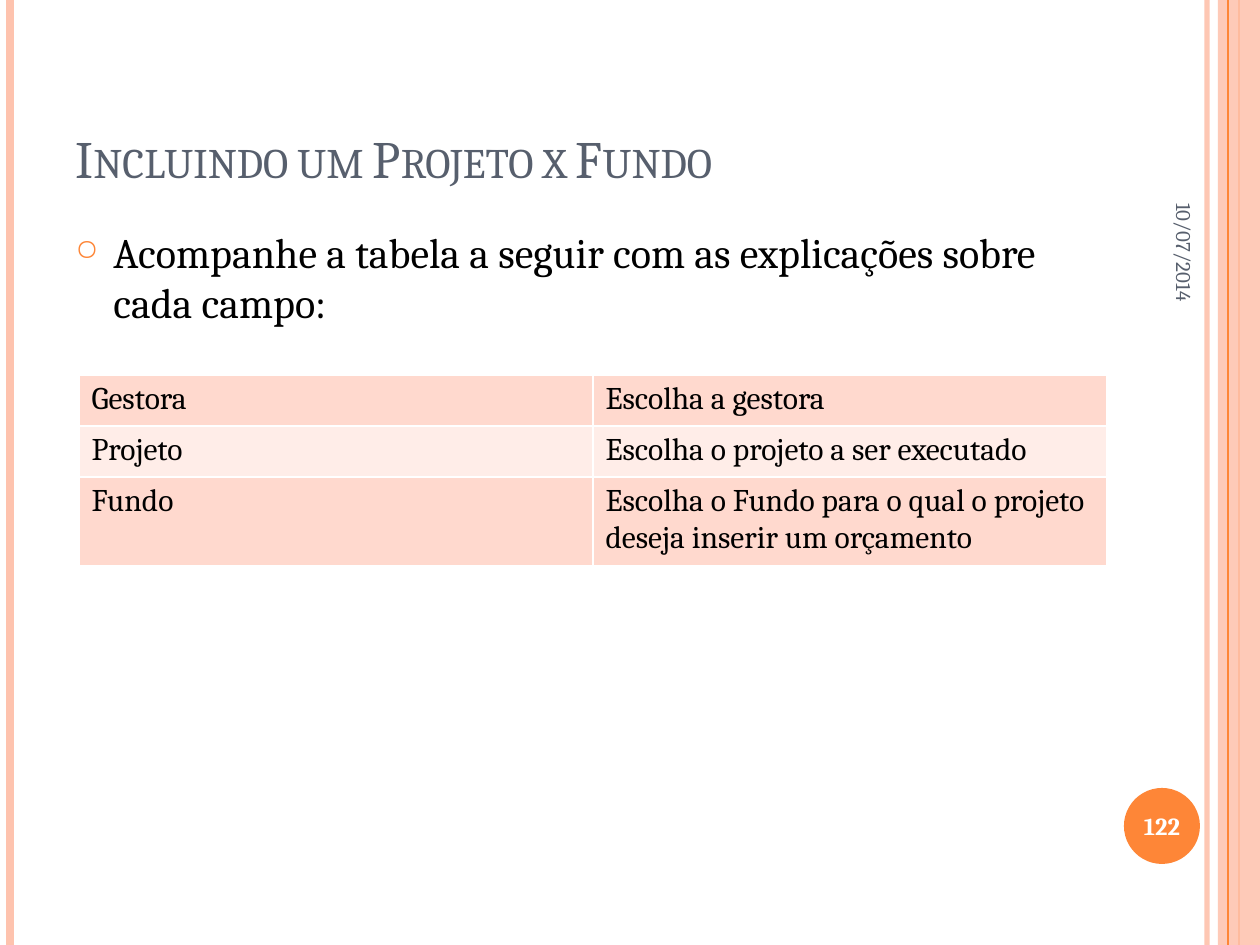
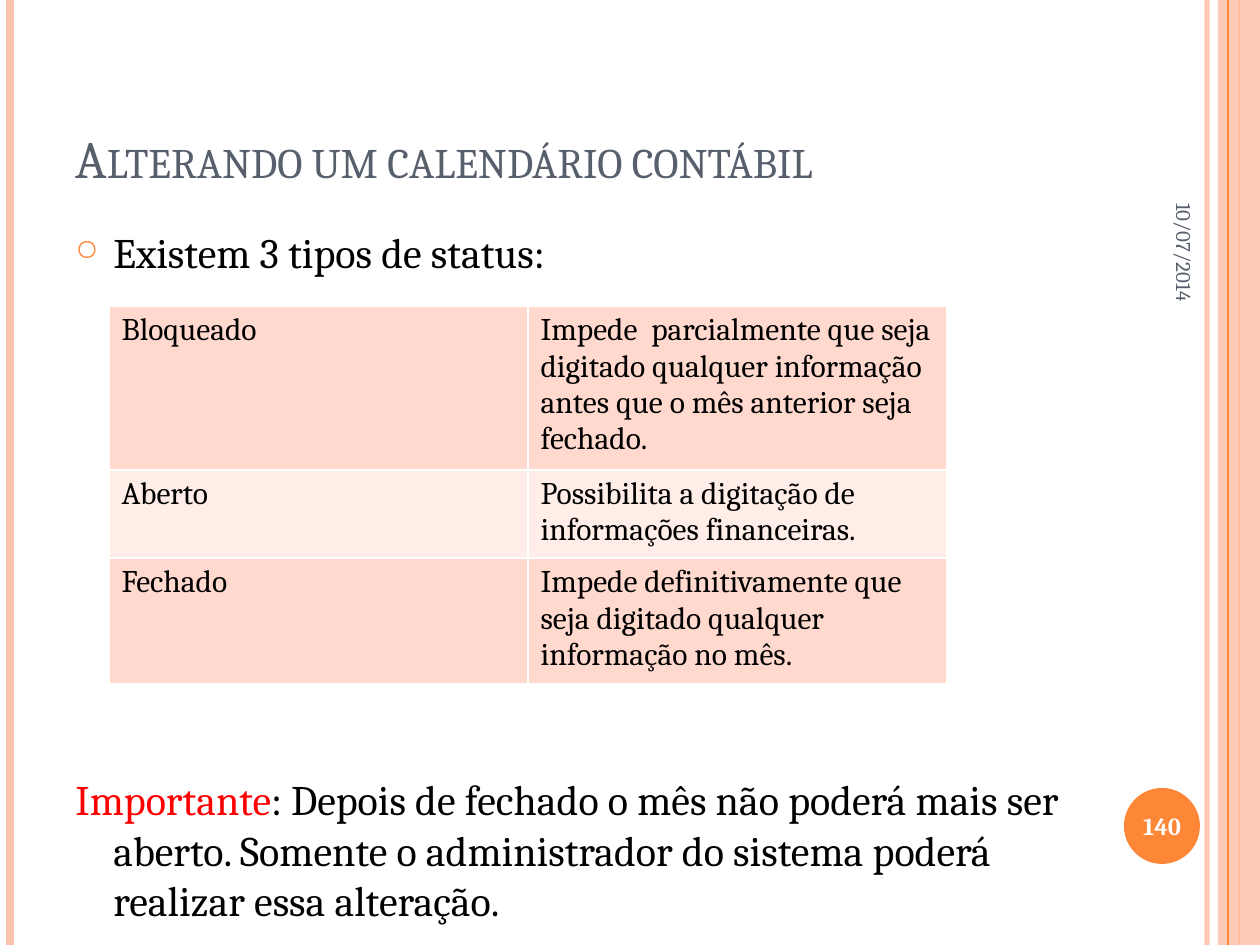
"""Build two slides on project funds and accounting calendar status."""
from dataclasses import dataclass

from lxml import etree
from pptx import Presentation
from pptx.dml.color import RGBColor
from pptx.enum.shapes import MSO_CONNECTOR, MSO_SHAPE
from pptx.enum.text import MSO_ANCHOR, PP_ALIGN
from pptx.oxml.ns import qn
from pptx.util import Pt

EMU_PER_INCH = 914400
PX_PER_INCH = 126
PAGE_WIDTH, PAGE_HEIGHT = 1260, 945
BLANK_LAYOUT = 6
STRAIGHT = MSO_CONNECTOR.STRAIGHT
RECTANGLE, OVAL = MSO_SHAPE.RECTANGLE, MSO_SHAPE.OVAL
TOP, MIDDLE, BOTTOM = MSO_ANCHOR.TOP, MSO_ANCHOR.MIDDLE, MSO_ANCHOR.BOTTOM
LEFT, CENTER, RIGHT = PP_ALIGN.LEFT, PP_ALIGN.CENTER, PP_ALIGN.RIGHT


@dataclass(frozen=True)
class Theme:
    """Hold the colours and type sizes of the deck."""
    font: str = "Cambria"
    accent: str = "FE8637"
    peach: str = "FEC3AE"
    slate: str = "575F6D"
    text: str = "000000"
    alert: str = "FF0000"
    white: str = "FFFFFF"
    row_fills: tuple = ("FFD9CE", "FFEDE8")
    title_size: int = 30
    body_size: int = 24
    table_size: int = 18
    number_size: int = 14
    date_size: int = 12


THEME = Theme()


def px(length):
    """Turn whole pixels into EMU."""
    return round(length * EMU_PER_INCH / PX_PER_INCH)


def color(code):
    """Turn a hex code into a colour."""
    return RGBColor.from_string(code)


def add_child(parent, tag, **attributes):
    """Append a DrawingML element and return it."""
    return etree.SubElement(parent, qn(tag), attributes)


def paint(fill, code, opacity=100):
    """Apply a solid fill, see-through when opacity is below 100."""
    fill.solid()
    fill.fore_color.rgb = color(code)
    if opacity < 100:
        element = fill._xPr.find(qn("a:solidFill"))[0]
        add_child(element, "a:alpha", val=str(opacity * 1000))


def add_rule(page, x, code, weight, opacity=100):
    """Draw a full-height vertical line."""
    rule = page.shapes.add_connector(STRAIGHT, px(x), 0, px(x), px(PAGE_HEIGHT))
    rule.line.width = Pt(weight)
    paint(rule.line.fill, code, opacity)
    add_child(rule._element.spPr, "a:effectLst")


def add_block(page, kind, frame, code, opacity=100):
    """Draw a filled shape without outline."""
    block = page.shapes.add_shape(kind, *map(px, frame))
    block.shadow.inherit = False
    block.line.fill.background()
    paint(block.fill, code, opacity)


def add_span(para, text, size, code, bold=False, small_caps=False):
    """Add one run of text."""
    span = para.add_run()
    span.text = text
    span.font.name = THEME.font
    span.font.size = Pt(size)
    span.font.bold = bold
    span.font.color.rgb = color(code)
    if small_caps:
        span.font._element.set("cap", "small")


def add_box(page, frame, anchor=TOP, align=LEFT):
    """Add a wrapping text box and return it with its first paragraph."""
    box = page.shapes.add_textbox(*map(px, frame))
    box.text_frame.word_wrap = True
    box.text_frame.vertical_anchor = anchor
    para = box.text_frame.paragraphs[0]
    para.alignment = align
    return box, para


def hang(para, bullet=None):
    """Give a paragraph a hanging indent and an optional bullet."""
    properties = para._p.get_or_add_pPr()
    properties.set("marL", str(px(38)))
    properties.set("indent", str(-px(38)))
    if bullet is None:
        add_child(properties, "a:buNone")
        return
    bullet_color = add_child(properties, "a:buClr")
    add_child(bullet_color, "a:srgbClr", val=THEME.accent)
    add_child(properties, "a:buSzPct", val="70000")
    add_child(properties, "a:buChar", char=bullet)


def add_frame(page, number):
    """Add the side bands, date and page number."""
    add_rule(page, 1207, THEME.peach, 3, 93)
    add_rule(page, 10, THEME.peach, 4.5)
    add_rule(page, 1239, THEME.accent, 1.5)
    add_block(page, RECTANGLE, (1218, 0, 42, PAGE_HEIGHT), THEME.peach, 87)
    add_rule(page, 1228, THEME.accent, 0.75)
    add_block(page, OVAL, (1124, 788, 76, 76), THEME.accent)
    box, para = add_box(page, (1046, 149, 277, 53), MIDDLE, RIGHT)
    box.rotation = 90
    add_span(para, "10/07/2014", THEME.date_size, THEME.slate)
    _, para = add_box(page, (1120, 790, 84, 72), MIDDLE, CENTER)
    add_span(para, str(number), THEME.number_size, THEME.white, bold=True)


def add_title(page, text):
    """Add the small-caps title."""
    _, para = add_box(page, (63, 38, 1029, 157), BOTTOM)
    add_span(para, text, THEME.title_size, THEME.slate, small_caps=True)


def add_body(page, text):
    """Add the bulleted lead sentence and return its box."""
    box, para = add_box(page, (63, 220, 1029, 672))
    hang(para, "○")
    add_span(para, text, THEME.body_size, THEME.text)
    return box


def add_warning(box, label, text):
    """Add a closing paragraph below the table, led by a red label."""
    para = box.text_frame.add_paragraph()
    hang(para)
    para.space_before = Pt(284)
    add_span(para, label, THEME.body_size, THEME.alert)
    add_span(para, text, THEME.body_size, THEME.text)


def outline(cell):
    """Give a cell thin white borders."""
    properties = cell._tc.get_or_add_tcPr()
    for position, side in enumerate(("a:lnL", "a:lnR", "a:lnT", "a:lnB")):
        border = etree.Element(qn(side), w=str(Pt(1)))
        fill = add_child(border, "a:solidFill")
        add_child(fill, "a:srgbClr", val=THEME.white)
        properties.insert(position, border)


def add_field_table(page, left, top, column_width, heights, rows):
    """Add a two-column table of terms and explanations."""
    frame = (left, top, 2 * column_width, sum(heights))
    table = page.shapes.add_table(len(rows), 2, *map(px, frame)).table
    table.first_row = table.horz_banding = False
    for column in table.columns:
        column.width = px(column_width)
    for index, (height, texts) in enumerate(zip(heights, rows)):
        table.rows[index].height = px(height)
        for cell, text in zip(table.rows[index].cells, texts):
            paint(cell.fill, THEME.row_fills[index % 2])
            outline(cell)
            para = cell.text_frame.paragraphs[0]
            add_span(para, text, THEME.table_size, THEME.text)


def add_page(deck, title, number):
    """Add a page with its shared parts."""
    page = deck.slides.add_slide(deck.slide_layouts[BLANK_LAYOUT])
    add_frame(page, number)
    add_title(page, title)
    return page


def main():
    """Build and save the deck."""
    deck = Presentation()
    deck.slide_width, deck.slide_height = px(PAGE_WIDTH), px(PAGE_HEIGHT)

    page = add_page(deck, "Incluindo um Projeto x Fundo", 122)
    add_body(page, "Acompanhe a tabela a seguir com as explicações sobre cada campo:")
    add_field_table(page, 79, 375, 514, (51, 51, 85), (
        ("Gestora", "Escolha a gestora"),
        ("Projeto", "Escolha o projeto a ser executado"),
        ("Fundo", "Escolha o Fundo para o qual o projeto deseja inserir um orçamento"),
    ))

    page = add_page(deck, "Alterando um calendário contábil", 140)
    body = add_body(page, "Existem 3 tipos de status:")
    add_warning(body, "Importante", ": Depois de fechado o mês não poderá mais ser aberto. "
                "Somente o administrador do sistema poderá realizar essa alteração.")
    add_field_table(page, 109, 306, 419, (157, 85, 122), (
        ("Bloqueado", "Impede  parcialmente que seja digitado qualquer informação "
                      "antes que o mês anterior seja fechado."),
        ("Aberto", "Possibilita a digitação de informações financeiras."),
        ("Fechado", "Impede definitivamente que seja digitado qualquer informação no mês."),
    ))
    deck.save("out.pptx")


if __name__ == "__main__":
    main()
